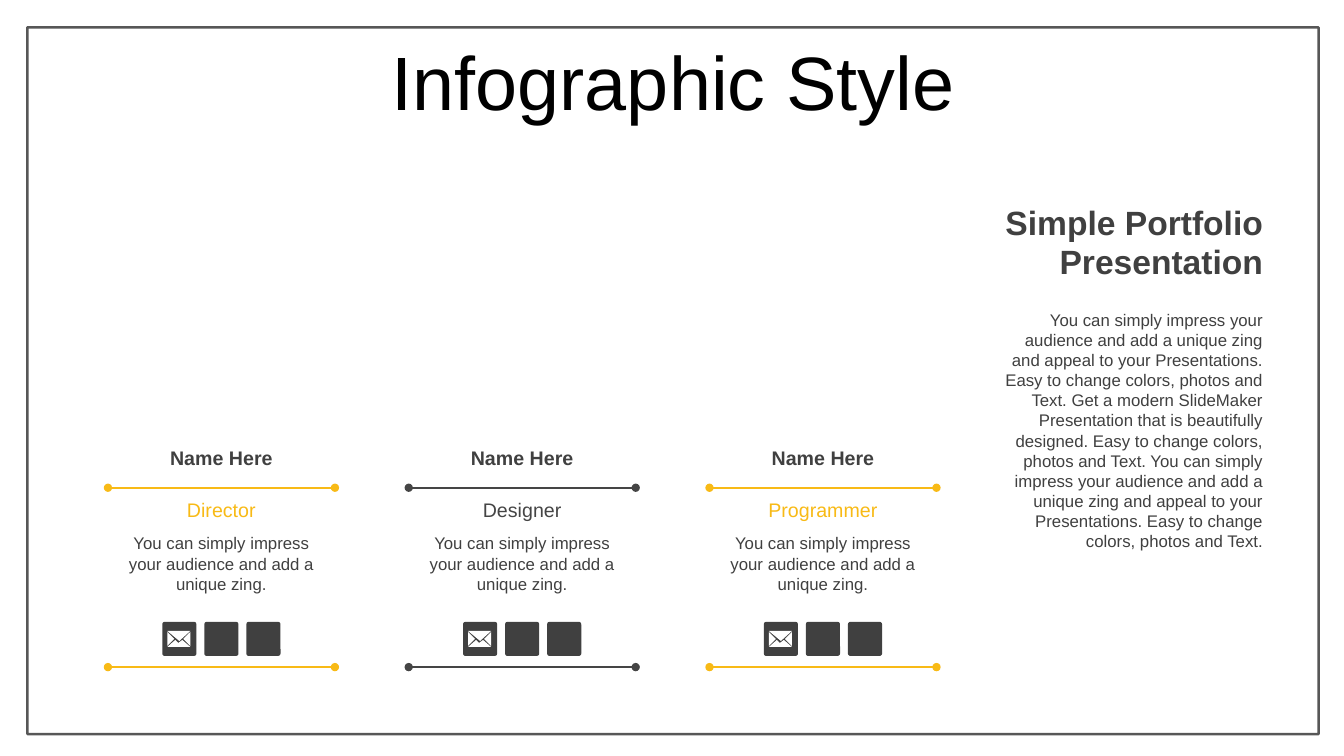
from lxml import etree
from pptx import Presentation
from pptx.dml.color import RGBColor
from pptx.enum.shapes import MSO_CONNECTOR, MSO_SHAPE
from pptx.enum.text import MSO_ANCHOR, PP_ALIGN
from pptx.oxml.ns import qn
from pptx.util import Cm, Pt

STRAIGHT = MSO_CONNECTOR.STRAIGHT
RECTANGLE, ROUNDED = MSO_SHAPE.RECTANGLE, MSO_SHAPE.ROUNDED_RECTANGLE
TOP, MIDDLE = MSO_ANCHOR.TOP, MSO_ANCHOR.MIDDLE
CENTER, RIGHT = PP_ALIGN.CENTER, PP_ALIGN.RIGHT

# Content
TITLE = "Infographic Style"
HEADING = ["Simple Portfolio", "Presentation"]
STORY = (
    "You can simply impress your audience and add a unique zing and appeal to your "
    "Presentations. Easy to change colors, photos and Text. Get a modern SlideMaker "
    "Presentation that is beautifully designed. Easy to change colors, photos and Text. "
    "You can simply impress your audience and add a unique zing and appeal to your "
    "Presentations. Easy to change colors, photos and Text."
)
NAME = "Name Here"
SUMMARY = "You can simply impress your audience and add a unique zing."
MEMBERS = [("Director", "accent"), ("Designer", "dark"), ("Programmer", "accent")]

# Envelope pieces on a square of 34 units
ENVELOPE = [
    [(5, 9), (17, 19), (28, 9)],
    [(5, 10), (5, 24), (12, 17)],
    [(28, 10), (28, 24), (21, 17)],
    [(5, 25), (13, 18), (16, 21), (20, 18), (28, 25)],
]
ENVELOPE_UNITS = 34

THEME = {
    "font": "Arial",
    "colors": {
        "accent": RGBColor(0xF8, 0xBA, 0x16),
        "dark": RGBColor(0x45, 0x45, 0x45),
        "text": RGBColor(0x40, 0x40, 0x40),
        "black": RGBColor(0, 0, 0),
        "white": RGBColor(255, 255, 255),
    },
    "formats": {
        "title": {"size": Pt(54)},
        "heading": {"size": Pt(24), "bold": True},
        "name": {"size": Pt(14), "bold": True},
        "role": {"size": Pt(14)},
        "body": {"size": Pt(12)},
    },
}
COLORS = THEME["colors"]

# Layout, in centimetres
FRAME = (0.69, 0.69, 32.54, 17.81)
TITLE_BOX = (0.89, 1.17, 32.16, 2.01)
HEADING_BOX = (24.79, 4.98, 7.29, 2.39)
STORY_BOX = (24.79, 7.67, 7.29, 6.4)
COLUMN_LEFT, COLUMN_WIDTH, COLUMN_PITCH = 2.72, 5.72, 7.58
NAME_ROW, ROLE_ROW, SUMMARY_ROW = (11.2, 0.69), (12.4, 0.89), (13.31, 1.8)
RULE_TOPS = (12.29, 16.81)
ICON_TOP, ICON_SIDE, ICON_PITCH, ICON_COUNT = 15.67, 0.86, 1.06, 3


def add_text(page, area, lines, style, color, align, anchor=MIDDLE, para_format=None):
    box = page.shapes.add_textbox(*map(Cm, area))
    frame = box.text_frame
    frame.word_wrap = True
    frame.vertical_anchor = anchor
    for index, line in enumerate(lines):
        para = frame.paragraphs[0] if index == 0 else frame.add_paragraph()
        para.alignment = align
        for key, value in (para_format or {}).items():
            if index or key != "space_before":
                setattr(para, key, value)
        span = para.add_run()
        span.text = line
        span.font.name = THEME["font"]
        span.font.color.rgb = COLORS[color]
        for key, value in THEME["formats"][style].items():
            setattr(span.font, key, value)


def add_rule(page, left, top, color):
    rule = page.shapes.add_connector(
        STRAIGHT, Cm(left), Cm(top), Cm(left + COLUMN_WIDTH), Cm(top))
    rule.line.color.rgb = COLORS[color]
    rule.line.width = Pt(1.5)
    outline = rule.line._get_or_add_ln()
    for end in ("a:headEnd", "a:tailEnd"):
        etree.SubElement(outline, qn(end), type="oval")
    etree.SubElement(rule._element.spPr, qn("a:effectLst"))


def paint(shape, color):
    shape.shadow.inherit = False
    shape.fill.solid()
    shape.fill.fore_color.rgb = COLORS[color]
    shape.line.fill.background()


def add_tile(page, left):
    tile = page.shapes.add_shape(
        ROUNDED, Cm(left), Cm(ICON_TOP), Cm(ICON_SIDE), Cm(ICON_SIDE))
    tile.adjustments[0] = 0.07
    paint(tile, "text")


def add_envelope(page, left):
    first, *others = ENVELOPE
    builder = page.shapes.build_freeform(
        *first[0], scale=Cm(ICON_SIDE) / ENVELOPE_UNITS)
    builder.add_line_segments(first[1:], close=True)
    for piece in others:
        builder.move_to(*piece[0])
        builder.add_line_segments(piece[1:], close=True)
    paint(builder.convert_to_shape(Cm(left), Cm(ICON_TOP)), "white")


def add_member(page, left, role, color):
    def row(place):
        return left, place[0], COLUMN_WIDTH, place[1]

    for top in RULE_TOPS:
        add_rule(page, left, top, color)
    add_text(page, row(NAME_ROW), [NAME], "name", "text", CENTER)
    add_text(page, row(ROLE_ROW), [role], "role", color, CENTER)
    add_text(page, row(SUMMARY_ROW), [SUMMARY], "body", "text", CENTER, TOP)

    # Contact icons, centred in the column
    icons_width = (ICON_COUNT - 1) * ICON_PITCH + ICON_SIDE
    icons_left = left + (COLUMN_WIDTH - icons_width) / 2
    for index in range(ICON_COUNT):
        add_tile(page, icons_left + index * ICON_PITCH)
    add_envelope(page, icons_left)


def main():
    deck = Presentation()
    deck.slide_width, deck.slide_height = Cm(33.87), Cm(19.05)
    page = deck.slides.add_slide(deck.slide_layouts[6])

    # Page frame
    border = page.shapes.add_shape(RECTANGLE, *map(Cm, FRAME))
    border.shadow.inherit = False
    border.fill.background()
    border.line.color.rgb = COLORS["dark"]
    border.line.width = Pt(1.75)
    tint = border.line._get_or_add_ln().find(".//" + qn("a:srgbClr"))
    etree.SubElement(tint, qn("a:alpha"), val="90000")

    # Title
    add_text(page, TITLE_BOX, [TITLE], "title", "black", CENTER,
             para_format={"line_spacing": 0.9})

    # Team columns
    for index, (role, color) in enumerate(MEMBERS):
        add_member(page, COLUMN_LEFT + index * COLUMN_PITCH, role, color)

    # Side story
    add_text(page, HEADING_BOX, HEADING, "heading", "text", RIGHT,
             para_format={"line_spacing": 0.8, "space_before": Pt(4.8)})
    add_text(page, STORY_BOX, [STORY], "body", "text", RIGHT, TOP)

    deck.save("out.pptx")


if __name__ == "__main__":
    main()
